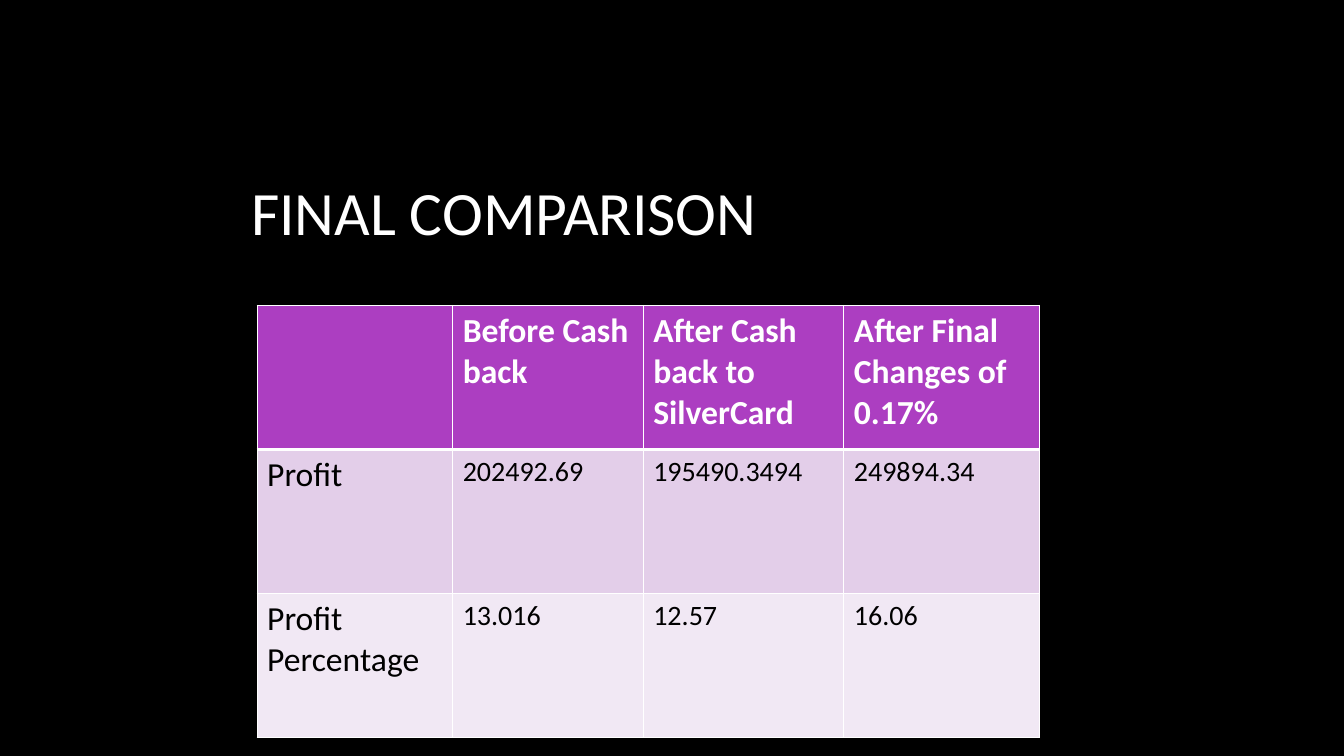
from dataclasses import dataclass

from lxml.etree import SubElement
from pptx import Presentation
from pptx.dml.color import RGBColor
from pptx.enum.text import MSO_ANCHOR
from pptx.oxml.ns import qn
from pptx.util import Inches, Pt

TITLE = "FINAL COMPARISON"
COMPARISON = [
    ("", "Before Cash back", "After Cash back to SilverCard", "After Final Changes of 0.17%"),
    ("Profit", "202492.69", "195490.3494", "249894.34"),
    ("Profit Percentage", "13.016", "12.57", "16.06"),
]
COLUMN_WIDTHS = (1.94, 1.89, 1.99, 1.94)
ROW_HEIGHT = 1.43


@dataclass(frozen=True)
class Theme:
    font: str = "Calibri"
    background: str = "000000"
    light: str = "FFFFFF"
    dark: str = "000000"
    row_fills: tuple = ("AC3EC1", "E3CEE9", "F1E8F4")
    title_size: int = 44
    label_size: int = 24
    value_size: int = 20
    thin_rule: int = 1
    header_rule: int = 3


THEME = Theme()


def format_text(frame, size, color, bold=False):
    for paragraph in frame.paragraphs:
        for font in [paragraph.font] + [run.font for run in paragraph.runs]:
            font.name = THEME.font
            font.size = Pt(size)
            font.bold = bold
            font.color.rgb = RGBColor.from_string(color)


def set_border(cell, side, width):
    """Draw one cell edge; side is L, R, T or B, width is in points."""
    line = SubElement(cell._tc.get_or_add_tcPr(), qn(f"a:ln{side}"), w=str(Pt(width)))
    SubElement(SubElement(line, qn("a:solidFill")), qn("a:srgbClr"), val=THEME.light)


def add_title(slide):
    title = slide.shapes.add_textbox(Inches(2.11), Inches(1.01), Inches(9.02), Inches(1.5))
    frame = title.text_frame
    frame.word_wrap = True
    frame.vertical_anchor = MSO_ANCHOR.BOTTOM
    frame.margin_left = Inches(0.38)
    frame.text = TITLE
    format_text(frame, THEME.title_size, THEME.light)


def fill_cell(cell, text, row, column):
    is_header = row == 0
    rules = {
        "L": THEME.thin_rule,
        "R": THEME.thin_rule,
        "T": THEME.header_rule if row == 1 else THEME.thin_rule,
        "B": THEME.header_rule if is_header else THEME.thin_rule,
    }
    for side, width in rules.items():
        set_border(cell, side, width)
    cell.fill.solid()
    cell.fill.fore_color.rgb = RGBColor.from_string(THEME.row_fills[row])
    cell.text_frame.text = text
    is_label = is_header or column == 0
    format_text(
        cell.text_frame,
        THEME.label_size if is_label else THEME.value_size,
        THEME.light if is_header else THEME.dark,
        bold=is_header,
    )


def add_comparison(slide):
    table = slide.shapes.add_table(
        len(COMPARISON), len(COLUMN_WIDTHS), Inches(2.55), Inches(3.03),
        Inches(sum(COLUMN_WIDTHS)), Inches(ROW_HEIGHT * len(COMPARISON)),
    ).table
    for column, width in zip(table.columns, COLUMN_WIDTHS):
        column.width = Inches(width)
    for row, texts in enumerate(COMPARISON):
        table.rows[row].height = Inches(ROW_HEIGHT)
        for column, text in enumerate(texts):
            fill_cell(table.cell(row, column), text, row, column)


def main():
    deck = Presentation()
    deck.slide_width, deck.slide_height = Inches(13.33), Inches(7.5)
    slide = deck.slides.add_slide(deck.slide_layouts[6])
    slide.background.fill.solid()
    slide.background.fill.fore_color.rgb = RGBColor.from_string(THEME.background)
    add_title(slide)
    add_comparison(slide)
    deck.save("out.pptx")


if __name__ == "__main__":
    main()
